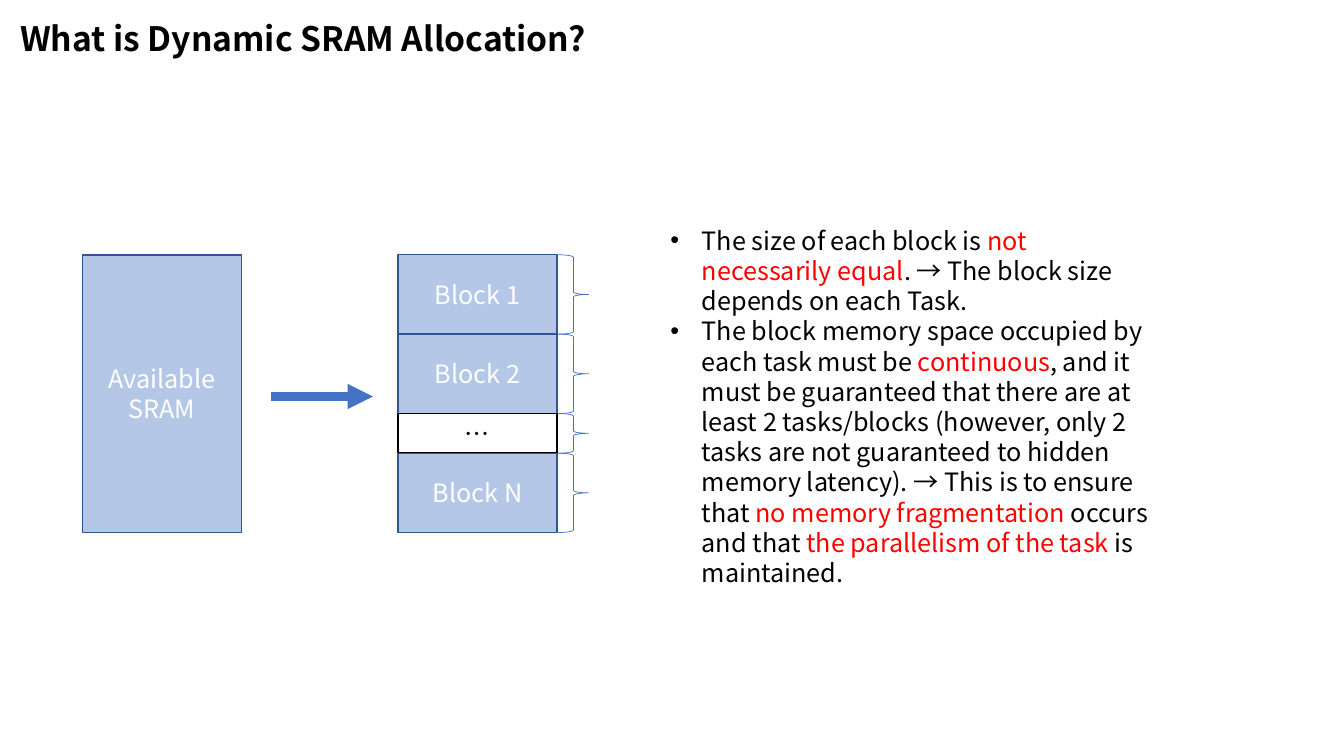
from lxml.etree import SubElement
from pptx import Presentation
from pptx.dml.color import RGBColor
from pptx.enum.lang import MSO_LANGUAGE_ID
from pptx.enum.shapes import MSO_CONNECTOR, MSO_SHAPE
from pptx.enum.text import MSO_ANCHOR, MSO_AUTO_SIZE, PP_ALIGN
from pptx.oxml.ns import qn
from pptx.util import Pt

FONT = "Noto Sans CJK SC"
UNIT = 28.35
BLACK, WHITE, RED = "000000", "FFFFFF", "FF0000"
PALE, EDGE, BLUE = "B4C7E7", "325491", "4472C4"
BLOCKS = [("Block 1", 2), ("Block 2", 2), ("…", 1), ("Block N", 2)]
POINTS = [
    [("The size of each block is ", BLACK), ("not necessarily equal", RED),
     (". → The block size depends on each Task.", BLACK)],
    [("The block memory space occupied by each task must be ", BLACK), ("continuous", RED),
     (", and it must be guaranteed that there are at least 2 tasks/blocks (however, only 2 tasks "
      "are not guaranteed to hidden memory latency). → This is to ensure that ", BLACK),
     ("no memory fragmentation ", RED), ("occurs and that ", BLACK),
     ("the parallelism of the task ", RED), ("is maintained.", BLACK)],
]


def rgb(value):
    """Turn a hex string into a colour."""
    return RGBColor.from_string(value)


def assign(target, formats):
    """Set every attribute named in formats on target."""
    for name, value in formats.items():
        setattr(target, name, value)


def place(part, box):
    """Move and size a part to a box given in points."""
    names = ("left", "top", "width", "height")
    assign(part, {name: Pt(value) for name, value in zip(names, box)})


def write(paragraph, pieces, size, bold=False):
    """Add coloured runs to a paragraph."""
    assign(paragraph, {"space_before": Pt(0), "space_after": Pt(0)})
    for words, colour in pieces:
        run = paragraph.add_run()
        run.text = words
        assign(run.font, {"name": FONT, "size": Pt(size), "bold": bold,
                          "language_id": MSO_LANGUAGE_ID.SIMPLIFIED_CHINESE})
        run.font.color.rgb = rgb(colour)
        SubElement(run.font._element, qn("a:ea"), typeface=FONT)


def prepare(placeholder, box):
    """Place a placeholder and give its frame the common format."""
    place(placeholder, box)
    assign(placeholder.text_frame, {
        "word_wrap": True, "auto_size": MSO_AUTO_SIZE.NONE, "vertical_anchor": MSO_ANCHOR.TOP,
        "margin_left": Pt(7.2), "margin_right": Pt(7.2),
        "margin_top": Pt(3.6), "margin_bottom": Pt(3.6)})
    return placeholder.text_frame


def outline(slide, kind, box, line, weight, fill=None):
    """Draw a preset shape with a line and an optional fill."""
    part = slide.shapes.add_shape(kind, *map(Pt, box))
    part.shadow.inherit = False
    if fill:
        part.fill.solid()
        part.fill.fore_color.rgb = rgb(fill)
    else:
        part.fill.background()
    part.line.color.rgb = rgb(line)
    part.line.width = Pt(weight)
    return part


def add_memory(slide, box, label, line=EDGE, fill=PALE, ink=WHITE):
    """Draw one labelled stretch of memory."""
    memory = outline(slide, MSO_SHAPE.RECTANGLE, box, line, 1, fill)
    assign(memory.text_frame, {"word_wrap": True, "vertical_anchor": MSO_ANCHOR.MIDDLE})
    paragraph = memory.text_frame.paragraphs[0]
    paragraph.alignment = PP_ALIGN.CENTER
    write(paragraph, [(label, ink)], 18)


def add_arrow(slide, left, middle, length):
    """Draw the thick arrow from the whole memory to its blocks."""
    arrow = slide.shapes.add_connector(
        MSO_CONNECTOR.STRAIGHT, Pt(left), Pt(middle), Pt(left + length), Pt(middle))
    arrow.line.color.rgb = rgb(BLUE)
    arrow.line.width = Pt(6)
    SubElement(arrow.line._get_or_add_ln(), qn("a:tailEnd"), type="triangle")
    SubElement(arrow._element.spPr, qn("a:effectLst"))


def add_blocks(slide, box):
    """Stack the blocks in the box, each with a brace at its right."""
    left, top, width, height = box
    unit = height / sum(units for _, units in BLOCKS)
    for label, units in BLOCKS:
        style = {"line": BLACK, "fill": None, "ink": BLACK} if label == "…" else {}
        add_memory(slide, (left, top, width, units * unit), label, **style)
        outline(slide, MSO_SHAPE.RIGHT_BRACE,
                (left + width + 1, top, 21.6, units * unit), BLUE, 0.5)
        top += units * unit


def add_diagram(slide, box):
    """Draw the available memory, the arrow and the blocks."""
    left, top, width, height = box
    column = 4 * UNIT
    add_memory(slide, (left, top, column, height), "Available SRAM")
    add_arrow(slide, left + column + 21.3, top + height / 2 + 2, 72.7)
    add_blocks(slide, (left + width - column, top, column, height))


def add_title(slide, box):
    """Write the slide title."""
    paragraph = prepare(slide.shapes.title, box).paragraphs[0]
    paragraph.alignment = PP_ALIGN.LEFT
    write(paragraph, [("What is Dynamic SRAM Allocation?", BLACK)], 24, True)


def add_points(slide, box):
    """Write the bulleted explanation."""
    frame = prepare(slide.placeholders[1], box)
    for index, pieces in enumerate(POINTS):
        paragraph = frame.add_paragraph() if index else frame.paragraphs[0]
        write(paragraph, pieces, 18)
        properties = paragraph._p.get_or_add_pPr()
        properties.set("marL", str(Pt(22.5)))
        properties.set("indent", str(Pt(-22.5)))
        SubElement(properties, qn("a:buFont"), typeface="Arial")
        SubElement(properties, qn("a:buChar"), char="•")


def main():
    """Build and save the slide."""
    deck = Presentation()
    assign(deck, {"slide_width": Pt(960), "slide_height": Pt(540)})
    slide = deck.slides.add_slide(deck.slide_layouts[1])
    add_title(slide, (7.2, 9.4, 500.4, 36))
    add_diagram(slide, (59, 182, 338.8, 7 * UNIT))
    add_points(slide, (471.6, 157, 359.3, 269.3))
    deck.save("out.pptx")


if __name__ == "__main__":
    main()
